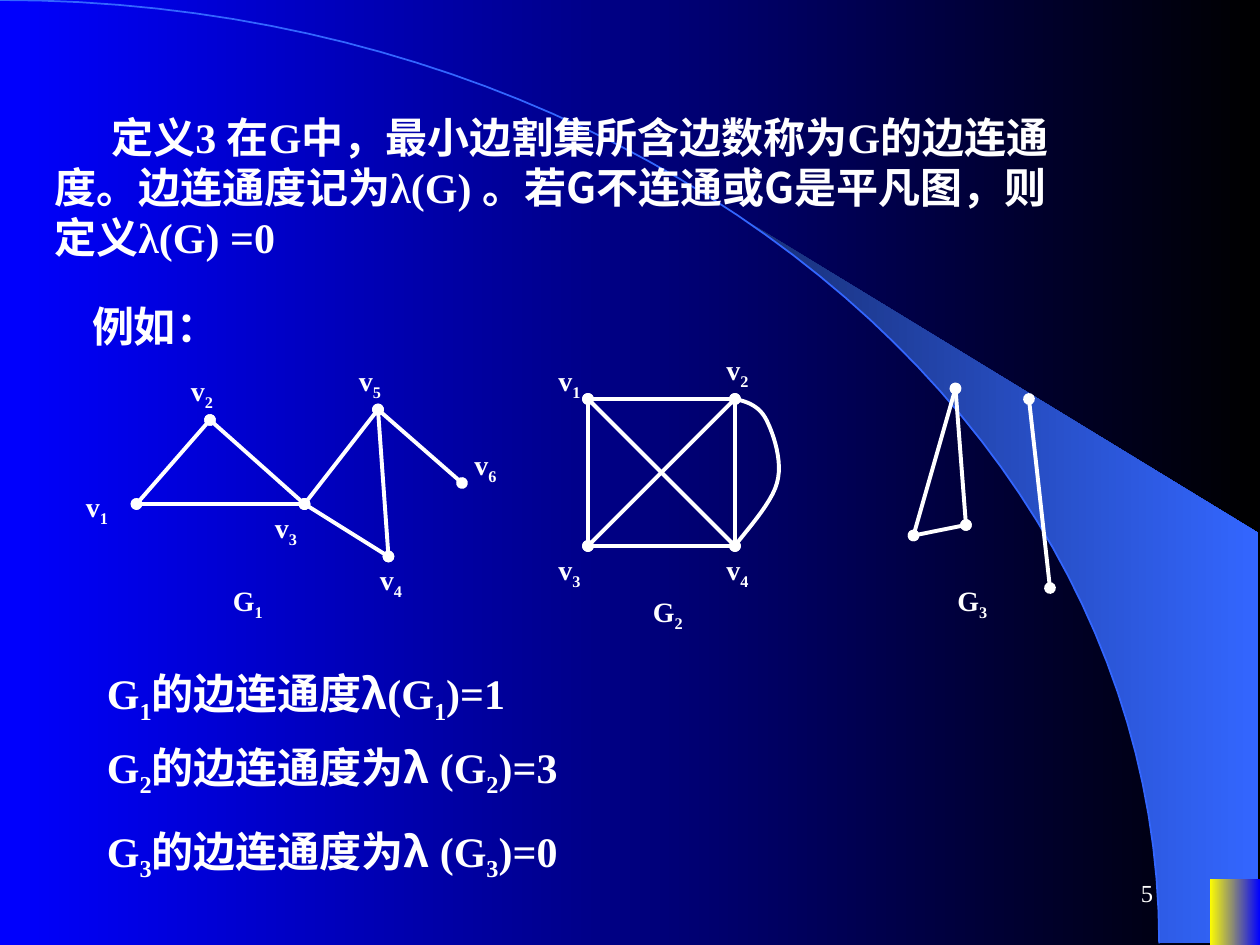
from dataclasses import dataclass

import pptx
import pptx.dml.color
import pptx.enum.shapes
import pptx.enum.text
import pptx.oxml.ns
import pptx.util
from lxml import etree

Pt = pptx.util.Pt
qn = pptx.oxml.ns.qn


@dataclass(frozen=True)
class Theme:
    """Colours, fonts and sizes of the slide."""
    white: str = "FFFFFF"
    blue: str = "0000FF"
    black: str = "000000"
    arc: str = "3366FF"
    sweep: str = "182F76"
    yellow: str = "FFFF00"
    latin: str = "Times New Roman"
    cjk: str = "Noto Sans CJK SC"
    body: float = 24
    label: float = 16
    number: float = 14
    edge: float = 2.25


T = Theme()

G1 = {
    "vertices": {1: (36, 84), 2: (78, 36), 3: (132, 84),
                 4: (180, 114), 5: (174, 30), 6: (222, 72)},
    "edges": [(2, 1), (2, 3), (1, 3), (3, 5), (5, 4), (3, 4), (5, 6)],
    "labels": {1: (0, 72), 2: (60, 6), 3: (108, 84),
               4: (168, 114), 5: (156, 0), 6: (222, 48)},
    "caption": (84, 126),
}
G2 = {
    "vertices": {1: (24, 30), 2: (108, 30), 3: (24, 114), 4: (108, 114)},
    "edges": [(1, 3), (1, 2), (3, 4), (2, 4), (1, 4), (2, 3)],
    "labels": {1: (0, 6), 2: (96, 0), 3: (0, 114), 4: (96, 114)},
    "caption": (54, 138),
    "curves": [[(108, 30), (115, 31.5), (122, 34), (126, 42)],
               [(126, 42), (130, 50), (135.5, 66), (132, 78)],
               [(132, 78), (129, 90), (112, 108), (108, 114)]],
}
G3 = {
    "vertices": {1: (24, 0), 2: (0, 84), 3: (30, 78), 4: (66, 6), 5: (78, 114)},
    "edges": [(1, 2), (1, 3), (2, 3), (4, 5)],
    "labels": {},
    "caption": (18, 108),
}


def rgb(color):
    """Return the colour object for a hex string."""
    return pptx.dml.color.RGBColor.from_string(color)


def set_gradient(fill, start, end):
    """Fill from left to right between two colours."""
    fill.gradient()
    fill.gradient_angle = 0
    for stop, color in zip(fill.gradient_stops, (start, end)):
        stop.color.rgb = rgb(color)


def set_line(line, color, width):
    """Give a line its colour and width."""
    line.color.rgb = rgb(color)
    line.width = Pt(width)


def bezier(p0, p1, p2, p3, steps=48):
    """Return points along a cubic curve."""
    points = []
    for i in range(steps + 1):
        t = i / steps
        u = 1 - t
        points.append(tuple(u**3 * a + 3 * u * u * t * b + 3 * u * t * t * c + t**3 * d
                            for a, b, c, d in zip(p0, p1, p2, p3)))
    return points


def add_outline(s, points, close):
    """Draw a freeform through points."""
    emu = [(Pt(x), Pt(y)) for x, y in points]
    builder = s.shapes.build_freeform(*emu[0])
    builder.add_line_segments(emu[1:], close=close)
    sp = builder.convert_to_shape()
    sp.shadow.inherit = False
    return sp


def add_text(s, box, pieces, size, bold=True, indent=0):
    """Add a text box; a piece is text with a kind: '', 'sub' or 'cjk'."""
    sp = s.shapes.add_textbox(*map(Pt, box))
    tf = sp.text_frame
    tf.word_wrap = True
    p = tf.paragraphs[0]
    if indent:
        p._p.get_or_add_pPr().set("indent", str(Pt(indent)))
    for text, kind in pieces:
        r = p.add_run()
        r.text = text
        r.font.size = Pt(size)
        r.font.bold = bold
        r.font.color.rgb = rgb(T.white)
        r.font.name = T.cjk if kind == "cjk" else T.latin
        rPr = r._r.get_or_add_rPr()
        etree.SubElement(rPr, qn("a:ea")).set("typeface", T.cjk)
        if kind == "sub":
            rPr.set("baseline", "-25000")
    return tf


def add_edge(s, start, end):
    """Connect two vertices with a line dotted at both ends."""
    kind = pptx.enum.shapes.MSO_CONNECTOR.STRAIGHT
    edge = s.shapes.add_connector(kind, *map(Pt, start + end))
    set_line(edge.line, T.white, T.edge)
    ln = edge.line._get_or_add_ln()
    for tag in ("a:headEnd", "a:tailEnd"):
        etree.SubElement(ln, qn(tag)).set("type", "oval")
    etree.SubElement(edge._element.spPr, qn("a:effectLst"))


def add_backdrop(s, width, height):
    """Draw the gradient ground, the sweep, the arc and the corner block."""
    set_gradient(s.background.fill, T.blue, T.black)
    arc = bezier((0, 0), (366, 0), (662.4, 241), (662.4, height - 1))
    inner = [point for point in arc if point[0] > 424]
    corners = [(width - 1, height - 1), (width - 1, 304.6), (424, 124.6)]
    sweep = add_outline(s, inner + corners, True)
    set_gradient(sweep.fill, T.sweep, T.arc)
    sweep.line.fill.background()
    curve = add_outline(s, arc, False)
    curve.fill.background()
    set_line(curve.line, T.arc, 1)
    block = s.shapes.add_shape(pptx.enum.shapes.MSO_SHAPE.RECTANGLE,
                               *map(Pt, (width - 28.8, height - 37.5, 28.8, 37.5)))
    block.shadow.inherit = False
    set_gradient(block.fill, T.yellow, T.blue)
    block.line.fill.background()


def add_graph(s, left, top, number, graph):
    """Draw one graph with its vertex labels and caption."""
    def place(point):
        return left + point[0], top + point[1]

    for a, b in graph["edges"]:
        add_edge(s, place(graph["vertices"][a]), place(graph["vertices"][b]))
    points = [place(q) for part in graph.get("curves", []) for q in bezier(*part, steps=12)]
    if points:
        curve = add_outline(s, points, False)
        curve.fill.background()
        set_line(curve.line, T.white, T.edge)
    labels = [("v", n, at) for n, at in graph["labels"].items()]
    for letter, n, at in labels + [("G", number, graph["caption"])]:
        width = 37.5 if letter == "v" else 48
        add_text(s, (*place(at), width, 29.5), [(letter, ""), (str(n), "sub")], T.label)


def add_definition(s, left, top, width):
    """Write the definition and the lead-in to the examples."""
    add_text(s, (left, top, width, 93.6),
             [("定义3 在G中，最小边割集所含边数称为G的边连通度。边连通度记为λ(G) ", ""),
              ("。若G不连通或G是平凡图，则定义", "cjk"), ("λ(G) =0", "")],
             T.body, indent=32.5)
    add_text(s, (left, top + 108, width, 36), [("例如：", "")], T.body, indent=21.5)


def add_result(s, left, top, number, phrase, opening, value):
    """Write the edge connectivity of one graph."""
    n = (str(number), "sub")
    add_text(s, (left, top, 600, 40),
             [("G", ""), n, (phrase, ""), ("λ", "cjk"), (opening, ""), n, (f")={value}", "")],
             T.body)


def add_number(s, left, top, width, height):
    """Write the slide number."""
    tf = add_text(s, (left, top, width, height), [("5", "")], T.number, bold=False)
    tf.vertical_anchor = pptx.enum.text.MSO_ANCHOR.MIDDLE
    tf.paragraphs[0].alignment = pptx.enum.text.PP_ALIGN.RIGHT


def main():
    """Build and save the slide."""
    prs = pptx.Presentation()
    prs.slide_width, prs.slide_height = Pt(720), Pt(540)
    s = prs.slides.add_slide(prs.slide_layouts[6])
    add_backdrop(s, 720, 540)
    add_number(s, 516, 492, 150, 36)
    add_definition(s, 24, 60, 594)
    add_graph(s, 42, 204, 1, G1)
    add_graph(s, 312, 198, 2, G2)
    add_graph(s, 522, 222, 3, G3)
    add_result(s, 54, 378, 1, "的边连通度", "(G", 1)
    add_result(s, 54, 420, 2, "的边连通度为", " (G", 3)
    add_result(s, 54, 468, 3, "的边连通度为", " (G", 0)
    prs.save("out.pptx")


if __name__ == "__main__":
    main()
